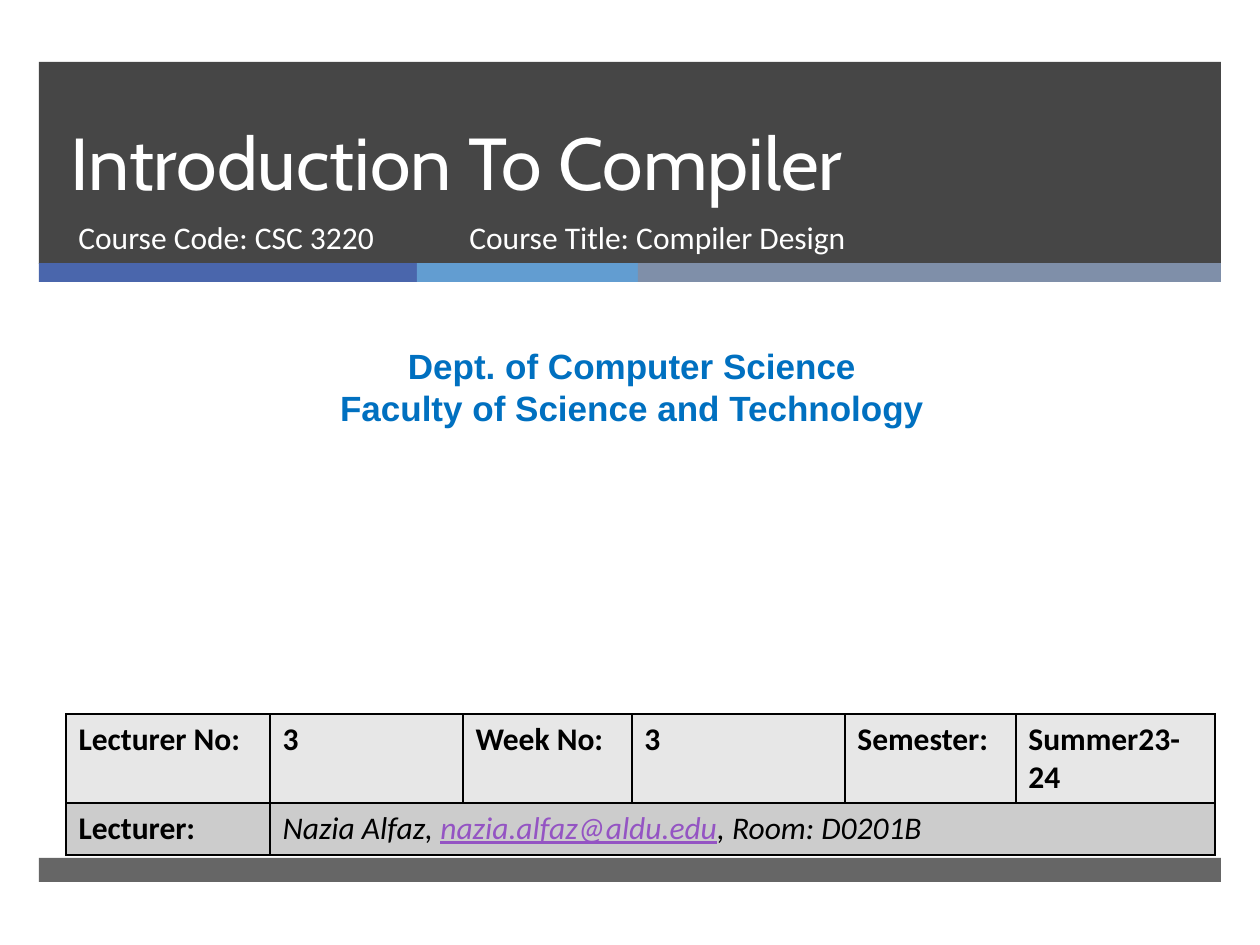
"""Builds the opening slide of a compiler design lecture."""
from lxml import etree
from pptx import Presentation
from pptx import util as u
from pptx.dml.color import RGBColor
from pptx.enum import shapes, text
from pptx.oxml.ns import qn

PX = 914400 // 126

BANDS = [
    ((39, 62, 1182, 202), "262626", 85),
    ((39, 263, 378, 19), "4A66AC", 100),
    ((417, 263, 221, 19), "629DD1", 100),
    ((638, 263, 583, 19), "7F8FA9", 100),
    ((39, 858, 1182, 24), "262626", 70),
]
TITLE = "Introduction To Compiler"
COURSE = [
    ((66, 212, 384, 67), "Course Code: CSC 3220"),
    ((457, 212, 573, 67), "Course Title: Compiler Design"),
]
DEPARTMENT = ["Dept. of Computer Science", "Faculty of Science and Technology"]
SESSION = ["Lecturer No:", "3", "Week No:", "3", "Semester:", "Summer23-24"]
CONTACT = [
    ("Nazia Alfaz, ", {}),
    ("nazia.alfaz@aldu.edu", {"color": "9454C3", "underline": True}),
    (", Room: D0201B", {}),
]
TABLE_BOX = (66, 714, 1149, 141)
COLUMNS = [204, 193, 169, 213, 171, 199]
ROWS = [89, 52]
ROW_FILLS = ["E7E7E7", "CCCCCC"]


def emu(lengths):
    return [length * PX for length in lengths]


def rgb(color):
    return RGBColor.from_string(color)


def add_text(paragraph, words, size=18, font="Calibri", color="FFFFFF",
             bold=False, italic=False, underline=False):
    run = paragraph.add_run()
    run.text = words
    run.font.size, run.font.name = u.Pt(size), font
    run.font.bold, run.font.italic, run.font.underline = bold, italic, underline
    run.font.color.rgb = rgb(color)


def add_band(slide, box, color, opacity):
    band = slide.shapes.add_shape(shapes.MSO_SHAPE.RECTANGLE, *emu(box))
    band.shadow.inherit = False
    band.line.fill.background()
    band.fill.solid()
    band.fill.fore_color.rgb = rgb(color)
    if opacity < 100:
        fill_color = next(band.element.iter(qn("a:srgbClr")))
        etree.SubElement(fill_color, qn("a:alpha")).set("val", str(opacity * 1000))


def add_title(slide):
    title = slide.shapes.title
    title.left, title.top, title.width, title.height = emu((58, 62, 1076, 150))
    title.element.getparent().append(title.element)
    frame = title.text_frame
    frame.vertical_anchor = text.MSO_ANCHOR.BOTTOM
    frame.auto_size = text.MSO_AUTO_SIZE.NONE
    paragraph = frame.paragraphs[0]
    paragraph.alignment = text.PP_ALIGN.LEFT
    paragraph.line_spacing = u.Pt(46)
    add_text(paragraph, TITLE, size=42, font="Cabin")


def add_box(slide, box):
    frame = slide.shapes.add_textbox(*emu(box)).text_frame
    frame.word_wrap = True
    return frame


def add_department(slide):
    frame = add_box(slide, (10, 338, 1244, 97))
    for index, line in enumerate(DEPARTMENT):
        paragraph = frame.add_paragraph() if index else frame.paragraphs[0]
        paragraph.alignment = text.PP_ALIGN.CENTER
        paragraph.line_spacing = u.Pt(24)
        add_text(paragraph, line, size=20, font="Arial", color="0070C0", bold=True)


def style_cell(cell, color):
    properties = cell._tc.get_or_add_tcPr()
    for side in ("a:lnL", "a:lnR", "a:lnT", "a:lnB"):
        line = etree.SubElement(properties, qn(side), w=str(u.Pt(1)))
        fill = etree.SubElement(line, qn("a:solidFill"))
        etree.SubElement(fill, qn("a:srgbClr"), val="000000")
    cell.fill.solid()
    cell.fill.fore_color.rgb = rgb(color)


def add_details(slide):
    table = slide.shapes.add_table(len(ROWS), len(COLUMNS), *emu(TABLE_BOX)).table
    for column, width in zip(table.columns, emu(COLUMNS)):
        column.width = width
    for row, height, color in zip(table.rows, emu(ROWS), ROW_FILLS):
        row.height = height
        for cell in row.cells:
            style_cell(cell, color)
    table.cell(1, 1).merge(table.cell(1, len(COLUMNS) - 1))
    labels = [(0, column, words) for column, words in enumerate(SESSION)]
    for row, column, words in labels + [(1, 0, "Lecturer:")]:
        paragraph = table.cell(row, column).text_frame.paragraphs[0]
        add_text(paragraph, words, color="000000", bold=True)
    contact = table.cell(1, 1).text_frame.paragraphs[0]
    for words, style in CONTACT:
        add_text(contact, words, **{"color": "000000", "italic": True, **style})


def main():
    presentation = Presentation()
    presentation.slide_width, presentation.slide_height = u.Inches(10), u.Inches(7.5)
    slide = presentation.slides.add_slide(presentation.slide_layouts[5])
    for box, color, opacity in BANDS:
        add_band(slide, box, color, opacity)
    add_title(slide)
    for box, words in COURSE:
        add_text(add_box(slide, box).paragraphs[0], words)
    add_department(slide)
    add_details(slide)
    presentation.save("out.pptx")


if __name__ == "__main__":
    main()
